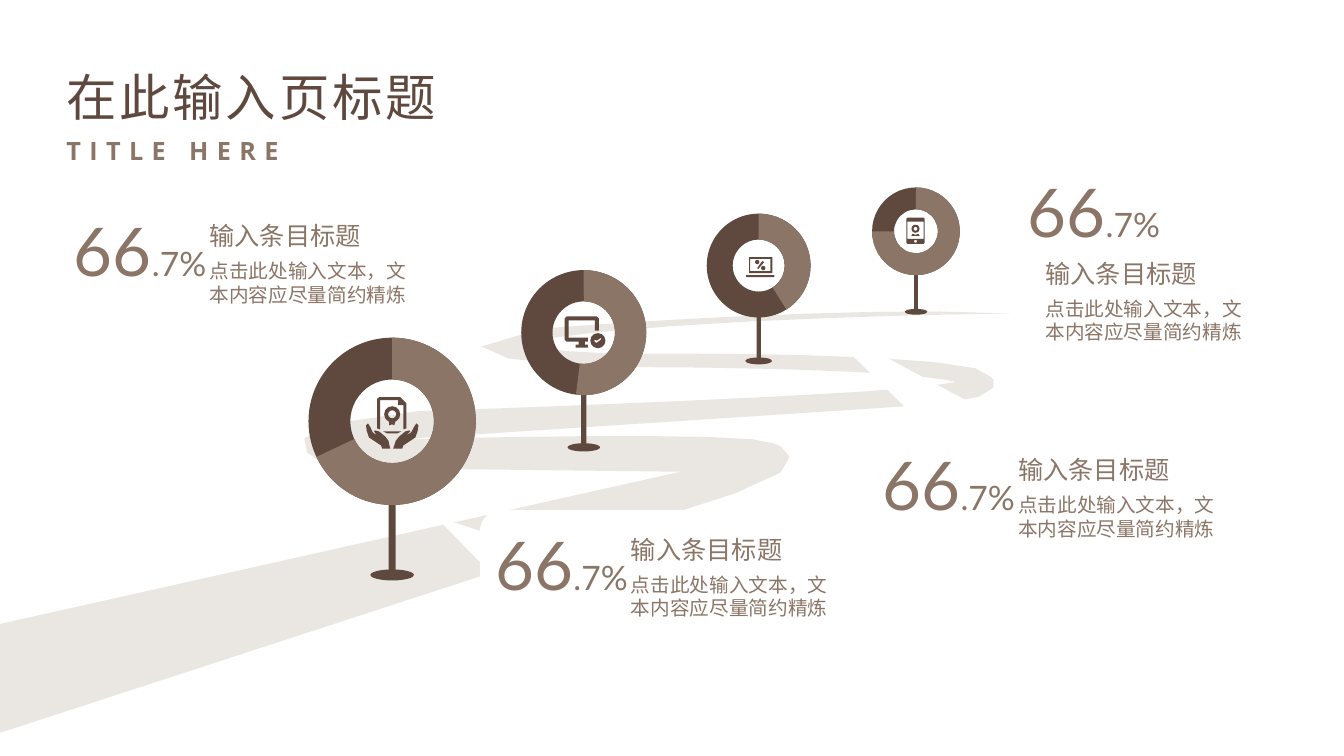
import math
import pptx
import pptx.util
import pptx.dml.color
import pptx.enum.shapes
import pptx.enum.text
import pptx.oxml

Inches = pptx.util.Inches
SHAPE = pptx.enum.shapes.MSO_SHAPE
DARK, LIGHT, ROAD, WHITE = "5F493F", "8B7567", "EAE6E2", "FFFFFF"
CJK = "Noto Sans CJK SC"

# Outlines in hundredths of an inch: M move, L line, C curve,
# O circle (centre, radius), R rectangle (left, top, width, height)
ROAD_PATH = """M 932 309 L 1002 311 C 1002 311 680 314 525 338
C 525 338 500 347 610 351 C 610 351 983 347 983 374 C 983 374 1006 394 930 401
L 394 436 C 394 436 749 426 768 440 C 768 440 821 459 730 489 L 0 727 L 0 619
L 675 468 L 330 464 C 330 464 223 424 414 408 C 414 408 923 391 948 379
C 948 379 908 364 592 364 C 592 364 376 354 537 326 C 537 326 759 308 932 309"""

CERTIFICATE = """M 17 34 L 35 34 L 31 36 L 21 36
M 50 26 L 52 28 C 52 30 51 37 49 40 L 37 48 L 36 51 L 27 51
C 28 44 31 41 33 39 L 39 34 L 43 33 L 44 34 L 40 38 C 43 37 47 34 48 29
M 2 26 L 4 29 C 5 34 8 37 11 38 L 8 34 L 9 33 L 13 34 L 19 39
C 21 41 24 44 24 51 L 16 51 L 15 48 L 3 40 C 1 37 0 30 0 28
M 13 0 L 34 0 L 40 6 L 40 31 L 37 32 L 37 8 L 32 8 L 32 3 L 14 3 L 14 32
L 11 31 L 11 2 O 26 17 8 O 26 17 4 M 23 24.5 L 29 24.5 L 28 28 L 26 27 L 23 28"""

MONITOR = """M 0 23 L 0 2 L 2 0 L 32 0 L 34 2 L 34 14 L 30 14 L 30 4 L 4 4 L 4 21
L 23 21 L 23 25 L 20 25 L 20 28 L 23 28 L 23 31 L 11 31 L 11 28 L 14 28
L 14 25 L 2 25 O 33 24 7.5 M 36 21 L 32 24 L 31 23 L 29 24 L 31 26 L 32 26 L 36 23"""

LAPTOP = """R 0 18 28 2 R 3 0 23 16 R 4 2 20 12
O 17 11 2.2 O 11 5 2.2 M 16 4 L 18 5 L 12 12 L 11 11"""

PHONE = """M 1 0 L 17 0 L 18 1 L 18 25 L 17 26 L 1 26 L 0 25 L 0 1
R 1 4 16 17 O 9 23.5 1.5 O 9 11 4 O 9 11 2 M 6 16 L 9 17 L 12 16 L 13 18 L 5 18"""


def rgb(color):
    return pptx.dml.color.RGBColor.from_string(color)


def paint(sp, color):
    sp.shadow.inherit = False
    sp.fill.solid()
    sp.fill.fore_color.rgb = rgb(color)
    sp.line.fill.background()


def preset(shapes, kind, left, top, width, height, color, adjustments=()):
    sp = shapes.add_shape(kind, Inches(left), Inches(top), Inches(width), Inches(height))
    for i, value in enumerate(adjustments):
        sp.adjustments[i] = value
    paint(sp, color)


def contours(outline):
    """Turn an outline into lists of points, with more points on longer curves."""
    tokens = iter(outline.split())
    found = []

    def take(count):
        return [float(next(tokens)) for _ in range(count)]

    for command in tokens:
        if command == "M":
            found.append([tuple(take(2))])
        elif command == "L":
            found[-1].append(tuple(take(2)))
        elif command == "C":
            x0, y0 = found[-1][-1]
            x1, y1, x2, y2, x3, y3 = take(6)
            steps = min(8, max(2, round(math.sqrt(math.hypot(x3 - x0, y3 - y0)) / 2)))
            for step in range(1, steps + 1):
                t = step / steps
                a, b, c, d = (1 - t) ** 3, 3 * t * (1 - t) ** 2, 3 * t * t * (1 - t), t ** 3
                found[-1].append((a * x0 + b * x1 + c * x2 + d * x3,
                                  a * y0 + b * y1 + c * y2 + d * y3))
        elif command == "O":
            x, y, radius = take(3)
            count = 12 if radius > 3 else 8
            angles = [math.tau * i / count for i in range(count)]
            found.append([(x + radius * math.cos(a), y + radius * math.sin(a)) for a in angles])
        elif command == "R":
            x, y, w, h = take(4)
            found.append([(x, y), (x + w, y), (x + w, y + h), (x, y + h)])
    return found


def draw_outline(s, outline, left, top, color):
    placed = [[(Inches(left + x / 100), Inches(top + y / 100)) for x, y in points]
              for points in contours(outline)]
    builder = s.shapes.build_freeform(*placed[0][0], scale=1.0)
    for i, points in enumerate(placed):
        if i:
            builder.move_to(*points[0])
        builder.add_line_segments(points[1:], close=True)
    paint(builder.convert_to_shape(), color)


def text_box(shapes, left, top, width, height):
    tf = shapes.add_textbox(Inches(left), Inches(top), Inches(width), Inches(height)).text_frame
    tf.word_wrap = True
    tf.auto_size = pptx.enum.text.MSO_AUTO_SIZE.SHAPE_TO_FIT_TEXT
    return tf


def add_run(p, text, size, font, color=LIGHT, bold=False, spacing=0):
    r = p.add_run()
    r.text = text
    r.font.size = pptx.util.Pt(size)
    r.font.bold = bold
    r.font.color.rgb = rgb(color)
    r.font.name = font
    props = r.font._element
    if spacing:
        props.set("spc", str(spacing * 100))
    ea = pptx.oxml.parse_xml(
        '<a:ea xmlns:a="http://schemas.openxmlformats.org/drawingml/2006/main"/>')
    ea.set("typeface", font)
    props.append(ea)


def add_heading(s, left, top):
    p = text_box(s.shapes, left, top + 0.68, 4.51, 0.4).paragraphs[0]
    add_run(p, "TITLE HERE", 18, "Open Sans", bold=True, spacing=6)
    p = text_box(s.shapes, left, top, 4.24, 0.71).paragraphs[0]
    add_run(p, "在此输入页标题", 36, CJK, DARK, spacing=2)


def add_pin(s, left, top, size, arc_end, icon, icon_left, icon_top):
    """Signpost: ring with a share in light brown, stem, foot and icon."""
    middle = left + size / 2
    preset(s.shapes, SHAPE.DONUT, left, top, size, size, DARK, [0.25])
    preset(s.shapes, SHAPE.RECTANGLE, middle - 0.021 * size, top + 0.97 * size,
           0.042 * size, 0.42 * size, DARK)
    preset(s.shapes, SHAPE.OVAL, middle - 0.13 * size, top + 1.385 * size,
           0.26 * size, 0.066 * size, DARK)
    preset(s.shapes, SHAPE.BLOCK_ARC, left, top, size, size, LIGHT, [162, arc_end, 0.25])
    draw_outline(s, icon, left + icon_left, top + icon_top, DARK)


def add_stat(s, left, top, width, height, tail, number_at=(-0.02, 0.08), text_at=(1.4, 0.19)):
    """White callout with a percentage and a short text."""
    shapes = s.shapes.add_group_shape().shapes
    preset(shapes, SHAPE.ROUNDED_RECTANGULAR_CALLOUT, left, top, width, height, WHITE,
           [*tail, 0.167])
    tf = text_box(shapes, left + text_at[0], top + text_at[1], 2.28, 0.96)
    add_run(tf.paragraphs[0], "输入条目标题", 18, CJK)
    p = tf.add_paragraph()
    p.space_before = pptx.util.Pt(6)
    add_run(p, "点击此处输入文本，文本内容应尽量简约精炼", 14, CJK)
    p = text_box(shapes, left + number_at[0], top + number_at[1], 1.66, 0.91).paragraphs[0]
    p.alignment = pptx.enum.text.PP_ALIGN.CENTER
    add_run(p, "66", 48, "Lato")
    add_run(p, ".7%", 24, "Lato")


def main():
    prs = pptx.Presentation()
    prs.slide_width, prs.slide_height = Inches(13.33), Inches(7.5)
    s = prs.slides.add_slide(prs.slide_layouts[6])

    # Road and signposts
    draw_outline(s, ROAD_PATH, 0, 0, ROAD)
    add_pin(s, 3.06, 3.35, 1.66, 92.88, CERTIFICATE, 0.57, 0.59)
    add_pin(s, 5.17, 2.68, 1.24, 58.32, MONITOR, 0.43, 0.46)
    add_pin(s, 7.01, 2.12, 1.03, 34.56, LAPTOP, 0.39, 0.43)
    add_pin(s, 8.65, 1.86, 0.87, 108, PHONE, 0.34, 0.3)

    # Heading and callouts
    add_heading(s, 0.56, 0.61)
    add_stat(s, 4.76, 5.06, 3.68, 1.24, (-0.621, -0.451))
    add_stat(s, 0.58, 1.95, 3.68, 1.24, (0.684, 0.328))
    add_stat(s, 8.6, 4.27, 3.68, 1.24, (-0.64, -1.391))
    add_stat(s, 10.06, 1.56, 2.57, 2.06, (-0.681, -0.239), (-0.04, 0.08), (0.21, 0.95))

    prs.save("out.pptx")


if __name__ == "__main__":
    main()
